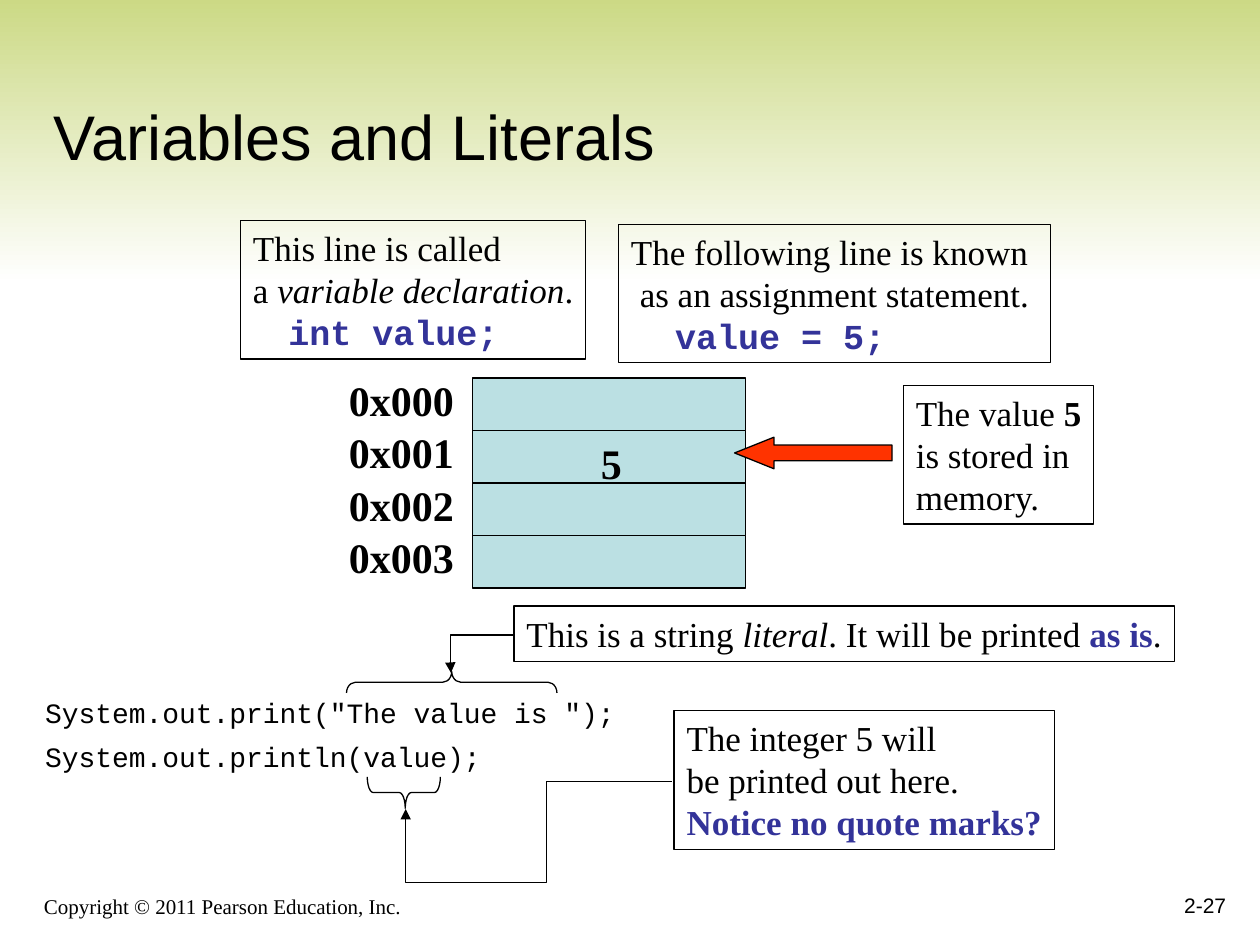
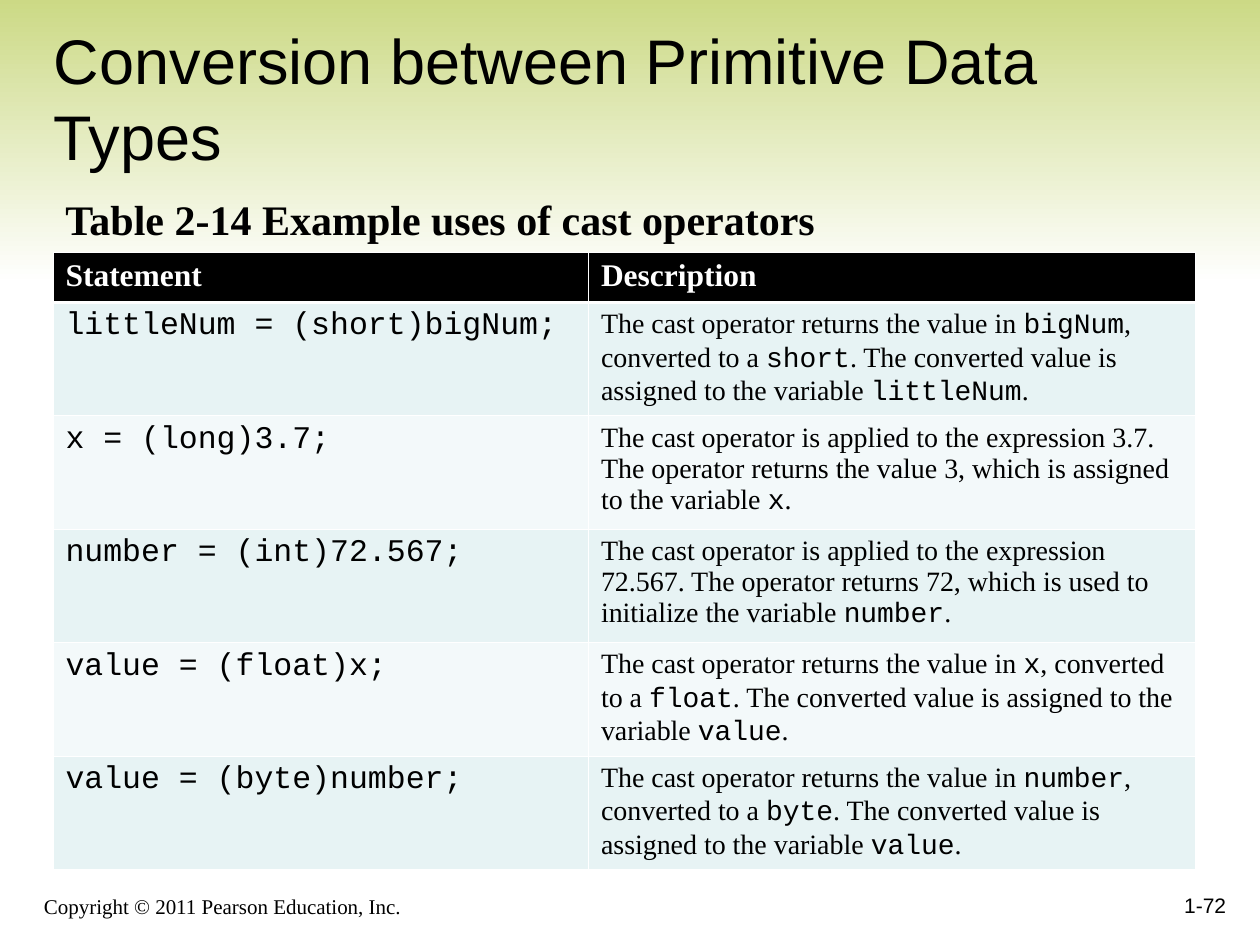
import pptx
import pptx.util
import pptx.dml.color
import pptx.enum.dml
import pptx.enum.shapes
import pptx.enum.text
import pptx.oxml
import pptx.oxml.ns
from lxml import etree

Inches, Pt = pptx.util.Inches, pptx.util.Pt
SHAPE = pptx.enum.shapes.MSO_SHAPE
ANCHOR = pptx.enum.text.MSO_ANCHOR
ALIGN = pptx.enum.text.PP_ALIGN
qn = pptx.oxml.ns.qn

# Shared look
HUES = {
    "black": "000000", "white": "FFFFFF", "band": "CAD881", "blue": "333399",
    "cell": "BBE0E3", "arrow": "FF3300", "odd": "E7F3F4", "even": "F3F9FA",
}
SANS, SERIF, MONO = "Arial", "Times New Roman", "Courier New"
OWNER = "Copyright © 2011 Pearson Education, Inc."

# A paragraph is a list of runs; a run is text, or (text, style),
# where style holds b (bold), i (italic), u (blue), m (monospace).
# Slide 1: notes as (left, top, width, height), paragraphs, indents
NOTES = [
    ((1.91, 1.75, 2.74, 1.1),
     [["This line is called"], ["a ", ("variable declaration", "i"), "."],
      [("int value;", "bum")]], (0, 0, 0.28)),
    ((4.91, 1.78, 3.43, 1.1),
     [["The following line is known"], ["as an assignment statement."],
      [("value = 5;", "bum")]], (0, 0.07, 0.35)),
    ((4.08, 4.81, 5.24, 0.44),
     [["This is a string ", ("literal", "i"), ". It will be printed ",
       ("as is", "bu"), "."]], ()),
    ((5.35, 5.64, 3.02, 1.1),
     [["The integer 5 will"], ["be printed out here."],
      [("Notice no quote marks?", "bu")]], ()),
    ((7.17, 3.06, 1.51, 1.1),
     [["The value ", ("5", "b")], ["is stored in"], ["memory."]], ()),
]
CODE = [['System.out.print("The value is ");'], ["System.out.println(value);"]]
CELLS = ["0x000", "0x001", "0x002", "0x003"]
# Braces: frame before turning, angle, curve, tip place
BRACES = [
    ((3.5, 4.58, 0.17, 1.67), 90, 0.42, 0.5),
    ((3.08, 6, 0.25, 0.58), 270, 0.19, 0.52),
]
# Elbows: start, end, preset, bends
ELBOWS = [
    ((4.08, 5.04), (3.58, 5.34), "bentConnector3", (1.01,)),
    ((5.33, 6.2), (3.22, 6.42), "bentConnector4", (0.47, 3.65)),
]

# Slide 2: statement, description
HEADS = ["Statement", "Description"]


def cast(name, kind, goal):
    return ["The cast operator returns the value in ", (name, "m"),
            ", converted to a ", (kind, "m"),
            ". The converted value is assigned to the variable ",
            (goal, "m"), "."]


CASTS = [
    ("littleNum = (short)bigNum;", cast("bigNum", "short", "littleNum")),
    ("x = (long)3.7;",
     ["The cast operator is applied to the expression 3.7. The operator "
      "returns the value 3, which is assigned to the variable ",
      ("x", "m"), "."]),
    ("number = (int)72.567;",
     ["The cast operator is applied to the expression 72.567. The operator "
      "returns 72, which is used to initialize the variable ",
      ("number", "m"), "."]),
    ("value = (float)x;", cast("x", "float", "value")),
    ("value = (byte)number;", cast("number", "byte", "value")),
]


def rgb(hue):
    return pptx.dml.color.RGBColor.from_string(HUES[hue])


def write(frame, paras, size, face=SERIF, hue="black", bold=False, dents=()):
    """Fill a text frame with styled paragraphs."""
    for num, runs in enumerate(paras):
        para = frame.add_paragraph() if num else frame.paragraphs[0]
        para.alignment = ALIGN.LEFT
        if num < len(dents) and dents[num]:
            para._p.get_or_add_pPr().set("marL", str(Inches(dents[num])))
        font = para.font
        font.name, font.size, font.bold = face, Pt(size), bold
        font.color.rgb = rgb(hue)
        for item in runs:
            text, style = (item, "") if isinstance(item, str) else item
            run = para.add_run()
            run.text = text
            if "b" in style:
                run.font.bold = True
            if "i" in style:
                run.font.italic = True
            if "u" in style:
                run.font.color.rgb = rgb("blue")
            if "m" in style:
                run.font.name = MONO


def label(slide, spot, paras, size, anchor=ANCHOR.TOP, **look):
    box = slide.shapes.add_textbox(*map(Inches, spot))
    frame = box.text_frame
    frame.word_wrap = True
    frame.vertical_anchor = anchor
    write(frame, paras, size, **look)
    return box


def shape(slide, kind, spot, fill=None, edge="black"):
    item = slide.shapes.add_shape(kind, *map(Inches, spot))
    item.shadow.inherit = False
    if fill:
        item.fill.solid()
        item.fill.fore_color.rgb = rgb(fill)
    else:
        item.fill.background()
    if edge:
        item.line.color.rgb = rgb(edge)
        item.line.width = Pt(0.75)
    else:
        item.line.fill.background()
    return item


def start(deck, title, page):
    """Add a slide with band, title, owner line and page number."""
    slide = deck.slides.add_slide(deck.slide_layouts[6])
    band = shape(slide, SHAPE.RECTANGLE, (0, -0.08, 10, 2.33), edge=None)
    band.fill.gradient()
    band.fill.gradient_angle = 270
    for stop, hue, place in zip(band.fill.gradient_stops, ("band", "white"), (0, 1)):
        stop.color.rgb = rgb(hue)
        stop.position = place
    label(slide, (0.25, 6.92, 6.08, 0.42), [[OWNER]], 12, ANCHOR.BOTTOM)
    num = label(slide, (7.75, 6.83, 2.08, 0.5), [[page]], 12, ANCHOR.BOTTOM, face=SANS)
    num.text_frame.paragraphs[0].alignment = ALIGN.RIGHT
    label(slide, (0.33, 0.33, 9.42, 1.09), [[title]], 36, ANCHOR.BOTTOM, face=SANS)
    return slide


def elbow(slide, head, tail, kind, bends):
    link = slide.shapes.add_connector(
        pptx.enum.shapes.MSO_CONNECTOR.ELBOW, *map(Inches, head + tail))
    link.line.color.rgb = rgb("black")
    link.line.width = Pt(0.75)
    props = link._element.spPr
    geom = props.find(qn("a:prstGeom"))
    geom.set("prst", kind)
    guides = geom.find(qn("a:avLst"))
    for num, bend in enumerate(bends, 1):
        etree.SubElement(guides, qn("a:gd"), name=f"adj{num}",
                         fmla=f"val {round(bend * 100000)}")
    etree.SubElement(props.find(qn("a:ln")), qn("a:tailEnd"), type="triangle")
    etree.SubElement(props, qn("a:effectLst"))


def rule(cell, side, width):
    """Draw one white cell border."""
    line = etree.SubElement(cell._tc.get_or_add_tcPr(), qn("a:" + side),
                            w=str(Pt(width)))
    fill = etree.SubElement(line, qn("a:solidFill"))
    etree.SubElement(fill, qn("a:srgbClr"), val=HUES["white"])


def memory(slide):
    slide = start(slide, "Variables and Literals", "2-27")
    # Notes and code
    for spot, paras, dents in NOTES:
        note = shape(slide, SHAPE.RECTANGLE, spot)
        frame = note.text_frame
        frame.word_wrap = True
        frame.margin_right = 0
        frame.vertical_anchor = ANCHOR.TOP
        write(frame, paras, 20, dents=dents)
    code = label(slide, (0.26, 5.5, 4.72, 0.69), CODE, 16, face=MONO)
    for num, para in enumerate(code.text_frame.paragraphs):
        para.line_spacing = 0.9
        para.space_before = Pt(4 if num else 0)
        para.space_after = Pt(4)
    # Braces and their pointers
    for spot, turn, curve, tip in BRACES:
        brace = shape(slide, SHAPE.LEFT_BRACE, spot)
        brace.rotation = turn
        brace.adjustments[0] = curve
        brace.adjustments[1] = tip
    for item in ELBOWS:
        elbow(slide, *item)
    # Memory cells with addresses
    step = 1.25 / 3
    for num, name in enumerate(CELLS):
        top = 3 + num * step
        shape(slide, SHAPE.RECTANGLE, (3.75, top, 2.17, step), "cell")
        label(slide, (2.67, top - 0.08, 1.08, 0.5), [[name]], 24, bold=True)
    label(slide, (4.67, 3.42, 0.4, 0.5), [["5"]], 24, bold=True)
    arrow = shape(slide, SHAPE.LEFT_ARROW, (5.83, 3.47, 1.25, 0.25), "arrow")
    arrow.adjustments[0] = 0.5
    arrow.adjustments[1] = 1.25


def casting(deck):
    slide = start(deck, "Conversion between Primitive Data Types", "1-72")
    label(slide, (0.42, 1.49, 7.25, 0.5),
          [["Table 2-14 Example uses of cast operators"]], 24, bold=True)
    # Table of casts
    grid = slide.shapes.add_table(
        len(CASTS) + 1, 2, *map(Inches, (0.42, 2, 9.07, 4.9))).table
    for col, width in zip(grid.columns, (4.25, 4.82)):
        col.width = Inches(width)
    for num, row in enumerate(grid.rows):
        row.height = Inches(0.9 if num else 0.4)
        for col, cell in enumerate(row.cells):
            for side in ("lnL", "lnR", "lnT", "lnB"):
                thick = (num, side) in ((0, "lnB"), (1, "lnT"))
                rule(cell, side, 1.47 if thick else 0.45)
            cell.fill.solid()
            cell.fill.fore_color.rgb = rgb(
                "black" if num == 0 else "odd" if num % 2 else "even")
            if num == 0:
                write(cell.text_frame, [[HEADS[col]]], 18, hue="white", bold=True)
            elif col == 0:
                write(cell.text_frame, [[CASTS[num - 1][0]]], 18, face=MONO)
            else:
                write(cell.text_frame, [CASTS[num - 1][1]], 16)


def main():
    deck = pptx.Presentation()
    deck.slide_width, deck.slide_height = Inches(10), Inches(7.5)
    memory(deck)
    casting(deck)
    deck.save("out.pptx")


if __name__ == "__main__":
    main()
